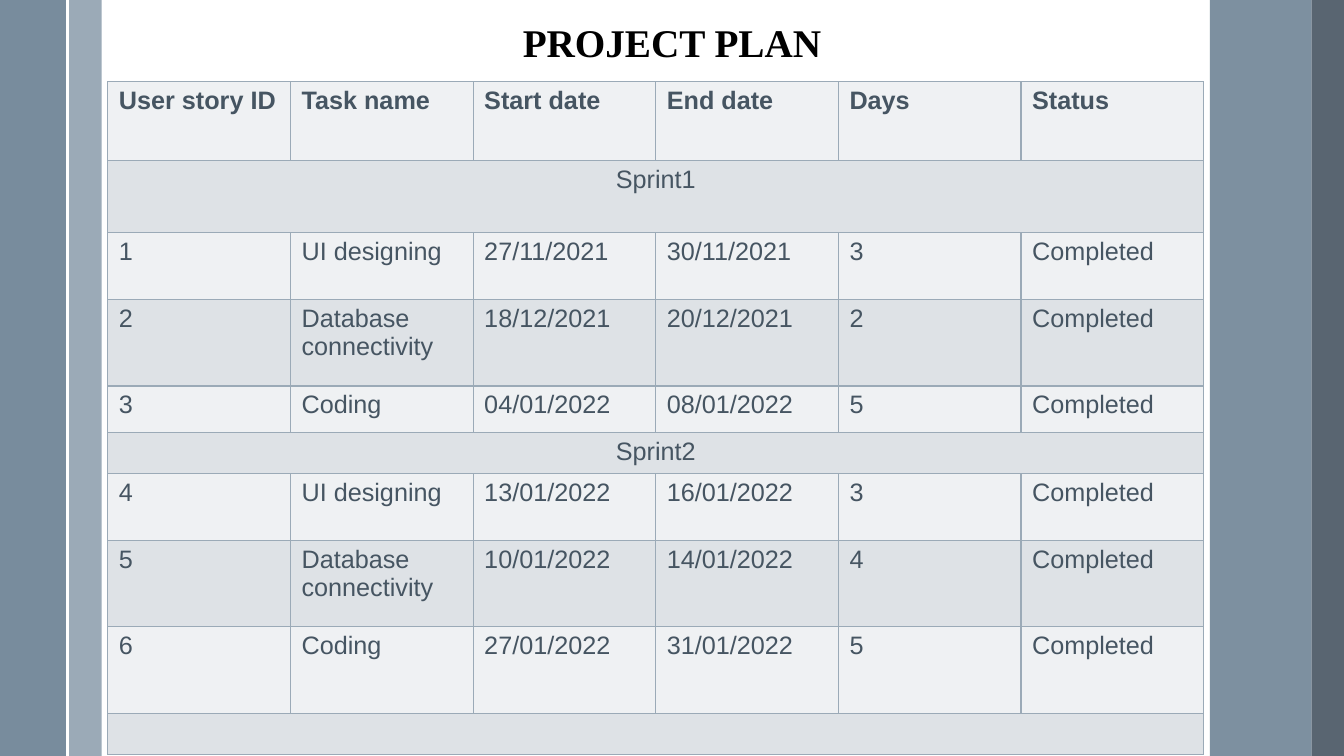
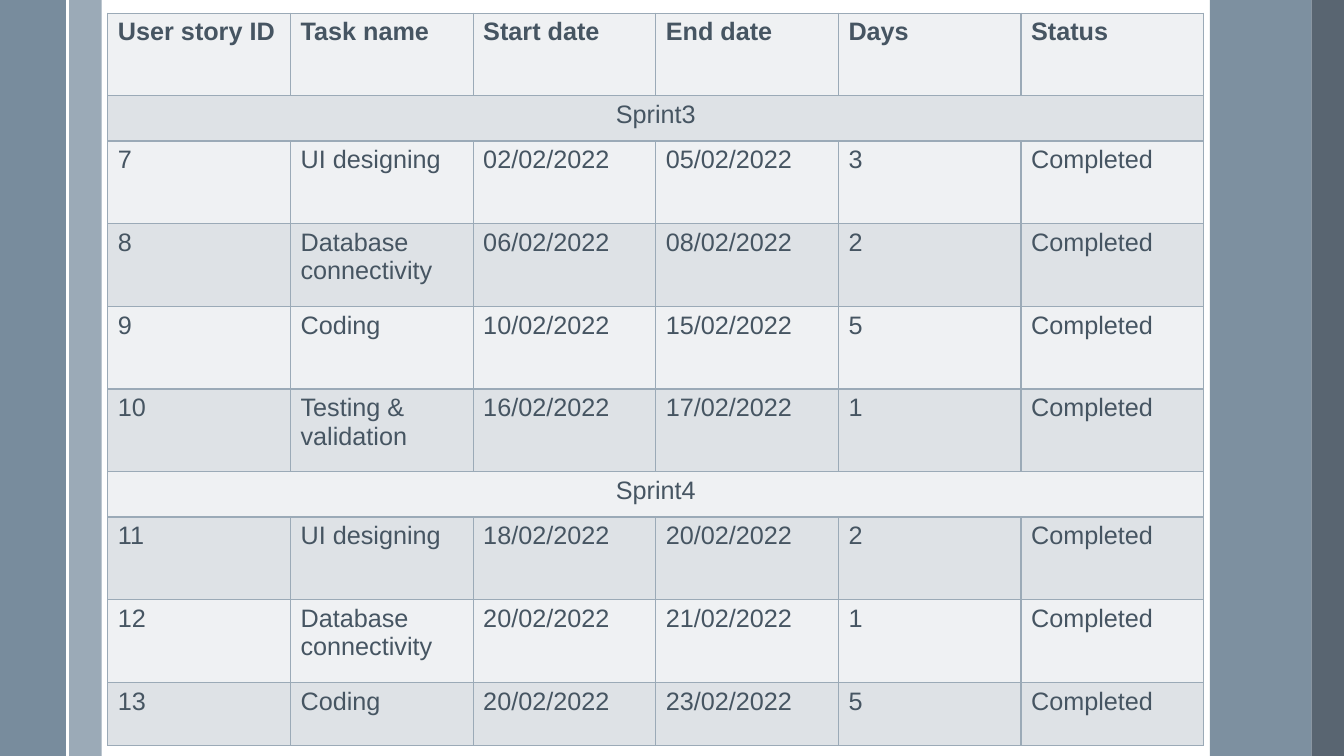
from dataclasses import dataclass

from lxml.etree import SubElement
from pptx import Presentation
from pptx.dml.color import RGBColor
from pptx.enum.shapes import MSO_CONNECTOR, MSO_SHAPE
from pptx.enum.text import MSO_ANCHOR, MSO_AUTO_SIZE, PP_ALIGN
from pptx.oxml.ns import qn
from pptx.util import Inches, Pt


@dataclass(frozen=True)
class Theme:
    slate: str = "6A8093"
    dark_slate: str = "475562"
    mist: str = "9BAAB7"
    white: str = "FFFFFF"
    title_color: str = "000000"
    table_text: str = "465562"
    row_fills: tuple = ("EFF1F3", "DEE2E6")
    title_font: str = "Times New Roman"
    table_font: str = "Arial"
    title_size: int = 28
    table_size: int = 18
    band_line: float = 1.5
    border: int = 1


THEME = Theme()
SLIDE_WIDTH, SLIDE_HEIGHT = 13.33, 7.5
TABLE_LEFT, TABLE_WIDTH = 1.07, 10.87
DIVIDER_X = 0.67

# left, width, colour, opacity in percent
BANDS = [
    (0.68, 0.33, THEME.mist, 100),
    (0, 0.67, THEME.slate, 90),
    (12, 1.01, THEME.slate, 87),
    (13.01, 0.33, THEME.dark_slate, 90),
]

HEADER = ("User story ID", "Task name", "Start date", "End date", "Days", "Status")
DESIGN, DATABASE, CODING, TESTING = (
    "UI designing", "Database connectivity", "Coding", "Testing & validation")
DONE = "Completed"

# A row that is a single string spans the whole table.
PLANS = [
    {
        "title": "PROJECT PLAN",
        "top": 0.81,
        "side_margin": 0.11,
        "heights": [0.78, 0.72, 0.66, 0.86, 0.46, 0.41, 0.66, 0.86, 0.86, 0.41],
        "rows": [
            HEADER,
            "Sprint1",
            ("1", DESIGN, "27/11/2021", "30/11/2021", "3", DONE),
            ("2", DATABASE, "18/12/2021", "20/12/2021", "2", DONE),
            ("3", CODING, "04/01/2022", "08/01/2022", "5", DONE),
            "Sprint2",
            ("4", DESIGN, "13/01/2022", "16/01/2022", "3", DONE),
            ("5", DATABASE, "10/01/2022", "14/01/2022", "4", DONE),
            ("6", CODING, "27/01/2022", "31/01/2022", "5", DONE),
            "",
        ],
    },
    {
        "title": None,
        "top": 0.13,
        "side_margin": 0.1,
        "heights": [0.82, 0.45, 0.82, 0.82, 0.82, 0.82, 0.45, 0.82, 0.82, 0.63],
        "rows": [
            HEADER,
            "Sprint3",
            ("7", DESIGN, "02/02/2022", "05/02/2022", "3", DONE),
            ("8", DATABASE, "06/02/2022", "08/02/2022", "2", DONE),
            ("9", CODING, "10/02/2022", "15/02/2022", "5", DONE),
            ("10", TESTING, "16/02/2022", "17/02/2022", "1", DONE),
            "Sprint4",
            ("11", DESIGN, "18/02/2022", "20/02/2022", "2", DONE),
            ("12", DATABASE, "20/02/2022", "21/02/2022", "1", DONE),
            ("13", CODING, "20/02/2022", "23/02/2022", "5", DONE),
        ],
    },
]


def format_font(font, name, size, color, bold):
    font.name, font.size, font.bold = name, Pt(size), bold
    font.color.rgb = RGBColor.from_string(color)


def add_band(slide, left, width, color, opacity):
    shape = slide.shapes.add_shape(
        MSO_SHAPE.RECTANGLE, Inches(left), 0, Inches(width), Inches(SLIDE_HEIGHT))
    shape.shadow.inherit = False
    shape.fill.solid()
    shape.fill.fore_color.rgb = RGBColor.from_string(color)
    shape.line.fill.background()
    if opacity < 100:
        fill_color = shape.element.spPr.find(qn("a:solidFill"))[0]
        SubElement(fill_color, qn("a:alpha"), val=str(opacity * 1000))
    return shape


def add_divider(slide):
    divider = slide.shapes.add_connector(
        MSO_CONNECTOR.STRAIGHT, Inches(DIVIDER_X), 0, Inches(DIVIDER_X), Inches(SLIDE_HEIGHT))
    divider.line.color.rgb = RGBColor.from_string(THEME.white)
    divider.line.width = Pt(THEME.band_line)
    SubElement(divider.element.spPr, qn("a:effectLst"))
    return divider


def move_to_master(shapes, master):
    """Place shapes behind the master's placeholders, so every slide shows them."""
    tree = master.shapes.element
    first_id = max(shape.shape_id for shape in master.shapes) + 1
    for offset, shape in enumerate(shapes):
        shape.element.xpath(".//p:cNvPr")[0].set("id", str(first_id + offset))
        tree.insert(2 + offset, shape.element)


def set_title(slide, text):
    title = slide.shapes.title
    if text is None:
        title.element.getparent().remove(title.element)
        return
    title.left, title.top = Inches(5.01), Inches(0.13)
    title.width, title.height = Inches(3.31), Inches(0.57)
    frame = title.text_frame
    frame.text = text
    frame.auto_size = MSO_AUTO_SIZE.NONE
    frame.vertical_anchor = MSO_ANCHOR.MIDDLE
    paragraph = frame.paragraphs[0]
    paragraph.alignment = PP_ALIGN.CENTER
    format_font(paragraph.runs[0].font, THEME.title_font, THEME.title_size,
                THEME.title_color, True)


def format_cell(cell, fill, side_margin):
    cell.margin_left = cell.margin_right = Inches(side_margin)
    cell.margin_top = cell.margin_bottom = Inches(0.05)
    properties = cell._tc.get_or_add_tcPr()
    for side in ("lnL", "lnR", "lnT", "lnB"):
        border = SubElement(properties, qn(f"a:{side}"), w=str(Pt(THEME.border)))
        border_fill = SubElement(border, qn("a:solidFill"))
        SubElement(border_fill, qn("a:srgbClr"), val=THEME.mist)
    cell.fill.solid()
    cell.fill.fore_color.rgb = RGBColor.from_string(fill)


def add_plan_table(slide, plan):
    rows, heights = plan["rows"], plan["heights"]
    table = slide.shapes.add_table(
        len(rows), len(HEADER), Inches(TABLE_LEFT), Inches(plan["top"]),
        Inches(TABLE_WIDTH), Inches(sum(heights))).table
    table.horz_banding = False
    for row_index, (values, height) in enumerate(zip(rows, heights)):
        table.rows[row_index].height = Inches(height)
        cells = list(table.rows[row_index].cells)
        for cell in cells:
            format_cell(cell, THEME.row_fills[row_index % 2], plan["side_margin"])
        spans_table = isinstance(values, str)
        if spans_table:
            cells[0].merge(cells[-1])
            values = (values,)
        for cell, value in zip(cells, values):
            cell.text_frame.text = value
            paragraph = cell.text_frame.paragraphs[0]
            paragraph.alignment = PP_ALIGN.CENTER if spans_table else PP_ALIGN.LEFT
            for run in paragraph.runs:
                format_font(run.font, THEME.table_font, THEME.table_size,
                            THEME.table_text, row_index == 0)


def main():
    presentation = Presentation()
    presentation.slide_width = Inches(SLIDE_WIDTH)
    presentation.slide_height = Inches(SLIDE_HEIGHT)
    title_only = presentation.slide_layouts[5]
    slides = [presentation.slides.add_slide(title_only) for _ in PLANS]

    bands = [add_band(slides[0], *band) for band in BANDS]
    move_to_master([*bands, add_divider(slides[0])], presentation.slide_master)

    for slide, plan in zip(slides, PLANS):
        set_title(slide, plan["title"])
        add_plan_table(slide, plan)
    presentation.save("out.pptx")


if __name__ == "__main__":
    main()
